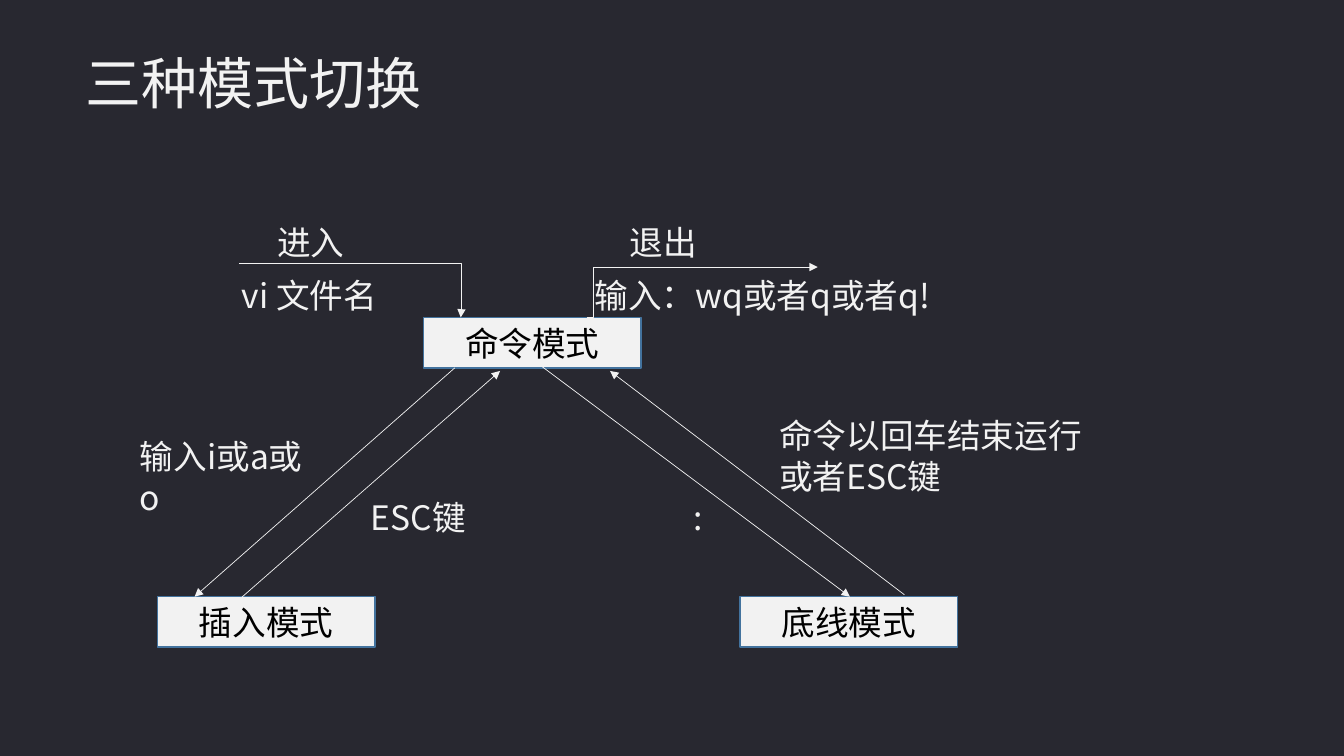
"""Build the slide on switching between the three vi modes."""
import pptx
import pptx.dml.color
import pptx.enum.shapes
import pptx.enum.text
import pptx.oxml
import pptx.oxml.ns
import pptx.util

FONT = "Noto Sans CJK SC"
COLORS = {"back": "282830", "light": "F2F2F2", "edge": "43739E", "dark": "000000"}
TITLE = ("三种模式切换", (0.75, 0.51, 8.5, 1.04))
BOX_W, BOX_H = 2.16, 0.5
MODES = [("命令模式", 4.2, 3.15), ("插入模式", 1.56, 5.92), ("底线模式", 7.34, 5.92)]
LABELS = [
    (["进入"], 2.65, 2.15, 1.2),
    (["退出"], 6.15, 2.15, 1.2),
    (["vi 文件名"], 2.3, 2.68, 2.2),
    (["输入：wq或者q或者q!"], 5.8, 2.68, 4.25),
    (["输入i或a或o"], 1.29, 4.28, 2.0),
    (["ESC键"], 3.58, 4.88, 1.37),
    ([":"], 6.78, 4.88, 0.34),
    (["命令以回车结束运行", "或者ESC键"], 7.63, 4.07, 3.4),
]
ARROWS = [
    ((2.37, 2.61), (4.57, 3.15), 100300),
    ((5.82, 3.15), (8.11, 2.65), 2800),
    ((4.51, 3.65), (1.93, 5.92), None),
    ((2.37, 5.95), (4.96, 3.68), None),
    ((8.97, 5.9), (6.05, 3.68), None),
    ((5.38, 3.64), (8.43, 5.92), None),
]


def rgb(name):
    return pptx.dml.color.RGBColor.from_string(COLORS[name])


def inches(values):
    return [pptx.util.Inches(v) for v in values]


def add_element(parent, tag, **attrs):
    el = pptx.oxml.parse_xml(f"<{tag} {pptx.oxml.ns.nsdecls('a')}/>")
    for key, value in attrs.items():
        el.set(key, value)
    parent.append(el)


def write(sp, lines, size, color, frame, para):
    tf = sp.text_frame
    for key, value in {"word_wrap": True, **frame}.items():
        setattr(tf, key, value)
    for i, line in enumerate(lines):
        p = tf.add_paragraph() if i else tf.paragraphs[0]
        for key, value in para.items():
            setattr(p, key, value)
        r = p.add_run()
        r.text = line
        for key, value in {"name": FONT, "size": pptx.util.Pt(size), "bold": False}.items():
            setattr(r.font, key, value)
        r.font.color.rgb = rgb(color)
        add_element(r.font._element, "a:ea", typeface=FONT)


prs = pptx.Presentation()
prs.slide_width, prs.slide_height = inches((13.33, 7.5))
slide = prs.slides.add_slide(prs.slide_layouts[5])
slide.background.fill.solid()
slide.background.fill.fore_color.rgb = rgb("back")
align = pptx.enum.text.PP_ALIGN
anchor = pptx.enum.text.MSO_ANCHOR

text, place = TITLE
sp = slide.shapes.title
sp.left, sp.top, sp.width, sp.height = inches(place)
write(sp, [text], 40, "light",
      {"vertical_anchor": anchor.TOP, "auto_size": pptx.enum.text.MSO_AUTO_SIZE.NONE},
      {"alignment": align.LEFT, "line_spacing": 0.9})

for text, x, y in MODES:
    sp = slide.shapes.add_shape(pptx.enum.shapes.MSO_SHAPE.RECTANGLE,
                                *inches((x, y, BOX_W, BOX_H)))
    sp.shadow.inherit = False
    sp.fill.solid()
    sp.fill.fore_color.rgb = rgb("light")
    sp.line.color.rgb = rgb("edge")
    sp.line.width = pptx.util.Pt(1)
    write(sp, [text], 24, "dark", {"vertical_anchor": anchor.MIDDLE},
          {"alignment": align.CENTER})

kinds = pptx.enum.shapes.MSO_CONNECTOR
for start, end, bend in ARROWS:
    kind = kinds.ELBOW if bend else kinds.STRAIGHT
    sp = slide.shapes.add_connector(kind, *inches(start + end))
    sp.line.color.rgb = rgb("light")
    sp.line.width = pptx.util.Pt(0.5)
    add_element(sp.line._get_or_add_ln(), "a:tailEnd", type="triangle")
    add_element(sp._element.spPr, "a:effectLst")
    if bend:
        guides = sp._element.spPr.find(".//" + pptx.oxml.ns.qn("a:avLst"))
        add_element(guides, "a:gd", name="adj1", fmla=f"val {bend}")

for lines, x, y, width in LABELS:
    height = 0.1 + 0.4 * len(lines)
    sp = slide.shapes.add_textbox(*inches((x, y, width, height)))
    write(sp, lines, 24, "light", {}, {"alignment": align.LEFT})

prs.save("out.pptx")
